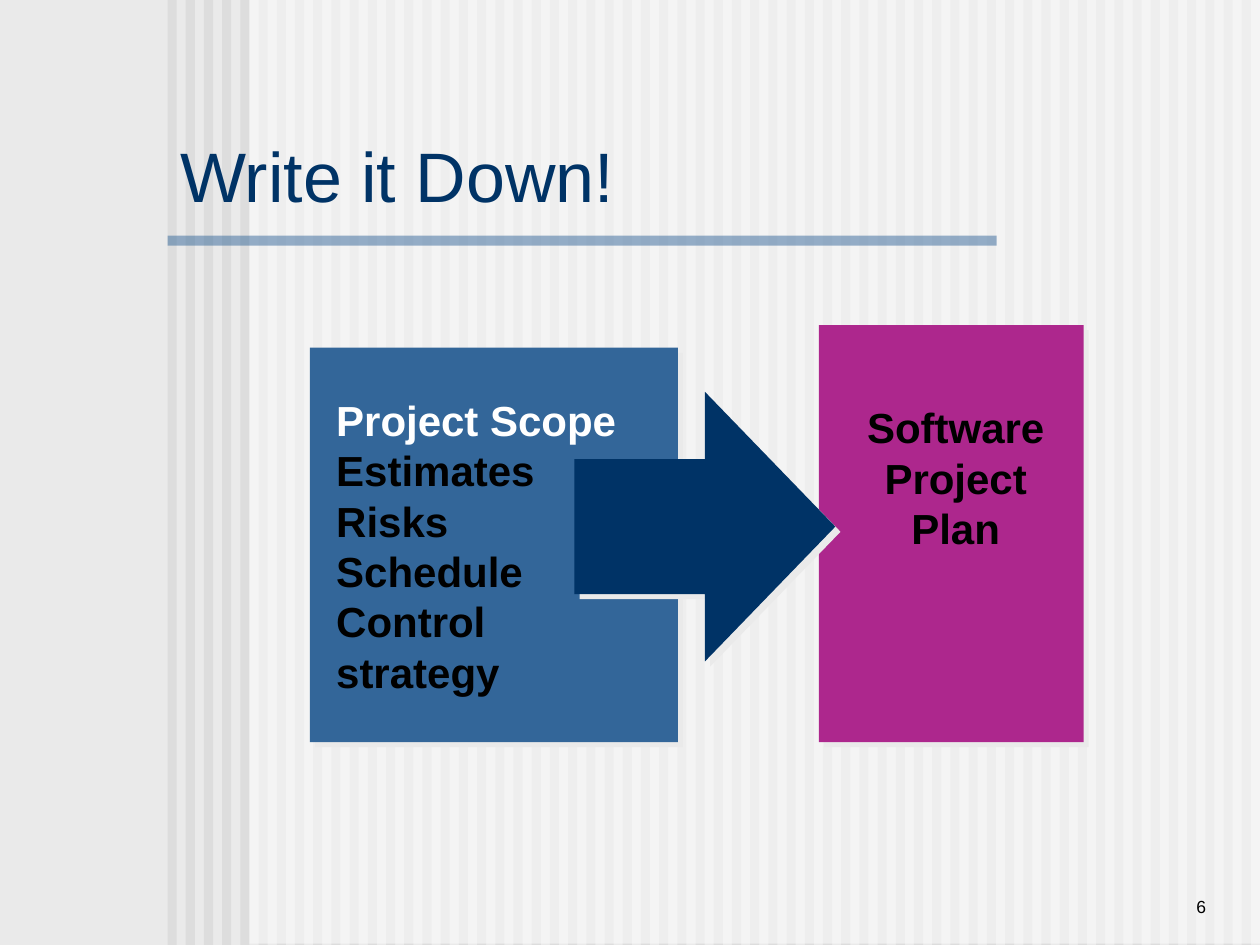
from dataclasses import dataclass

from lxml.etree import SubElement
from pptx import Presentation
from pptx.dml.color import RGBColor
from pptx.enum.shapes import MSO_SHAPE as Shape
from pptx.enum.text import MSO_ANCHOR as Anchor, PP_ALIGN as Align
from pptx.oxml.ns import qn
from pptx.util import Inches, Pt


@dataclass(frozen=True)
class Theme:
    """Colours, type sizes and font of the slide."""
    font: str = "Arial"
    background: str = "EAEAEA"
    stripe: str = "DDDDDD"
    white: str = "FFFFFF"
    black: str = "000000"
    navy: str = "003366"
    blue: str = "336699"
    magenta: str = "AD278D"
    title_size: int = 40
    body_size: int = 24
    number_size: int = 10
    body_leading: float = 28.8


THEME = Theme()


def add_filled(shapes, kind, box, color, opacity=None):
    """Add a borderless shape, optionally translucent."""
    shape = shapes.add_shape(kind, *map(Inches, box))
    shape.shadow.inherit = False
    shape.line.fill.background()
    shape.fill.solid()
    shape.fill.fore_color.rgb = RGBColor.from_string(color)
    if opacity is not None:
        rgb = shape._element.spPr.find(qn("a:solidFill")).find(qn("a:srgbClr"))
        SubElement(rgb, qn("a:alpha"), val=str(opacity * 1000))
    return shape


def add_shadowed(slide, kind, box, color):
    """Add a shape with a pale shadow to its lower right."""
    shape = add_filled(slide.shapes, kind, box, color)
    effects = shape._element.spPr.find(qn("a:effectLst"))
    shadow = SubElement(effects, qn("a:outerShdw"), dist=str(Pt(4.2)),
                        dir=str(45 * 60000), algn="ctr", rotWithShape="0")
    SubElement(shadow, qn("a:srgbClr"), val=THEME.background)
    return shape


def style(paragraph, size, color, bold=False, align=Align.LEFT):
    """Set the font and alignment of a paragraph."""
    paragraph.alignment = align
    paragraph.font.name = THEME.font
    paragraph.font.size = Pt(size)
    paragraph.font.bold = bold
    paragraph.font.color.rgb = RGBColor.from_string(color)


def add_backdrop(slide, box):
    """Place the stripes, veil and title rule behind the title."""
    left, top, width, height = box
    slide.background.fill.solid()
    slide.background.fill.fore_color.rgb = RGBColor.from_string(THEME.background)
    group = slide.shapes.add_group_shape()
    count = 60
    pitch = width / count
    for index in range(count):
        add_filled(group.shapes, Shape.RECTANGLE,
                   (left + index * pitch, top, pitch / 2, height), THEME.stripe)
    veil_left = left + 0.65
    add_filled(group.shapes, Shape.RECTANGLE,
               (veil_left, top - 0.01, left + width - veil_left, height), THEME.white, 50)
    add_filled(group.shapes, Shape.RECTANGLE, (left, 1.87, 6.58, 0.08), THEME.blue, 50)
    slide.shapes._spTree.insert(2, group._element)


def add_title(slide, box, text):
    """Place and format the title placeholder."""
    title = slide.shapes.title
    title.left, title.top, title.width, title.height = map(Inches, box)
    title.text_frame.text = text
    title.text_frame.vertical_anchor = Anchor.BOTTOM
    style(title.text_frame.paragraphs[0], THEME.title_size, THEME.navy)


def add_lines(slide, box, lines, align):
    """Place bold lines of text given as pairs of wording and colour."""
    frame = slide.shapes.add_textbox(*map(Inches, box)).text_frame
    frame.word_wrap = False
    frame.text = "\n".join(text for text, _ in lines)
    for paragraph, (_, color) in zip(frame.paragraphs, lines):
        style(paragraph, THEME.body_size, color, True, align)
        paragraph.line_spacing = Pt(THEME.body_leading)


def add_plan(slide, box):
    """Place the resulting project plan panel."""
    left, top, _, _ = box
    add_shadowed(slide, Shape.RECTANGLE, box, THEME.magenta)
    lines = [(text, THEME.black) for text in ("Software", "Project", "Plan")]
    add_lines(slide, (left + 0.28, top + 0.56, 1.61, 1.3), lines, Align.CENTER)


def add_inputs(slide, box):
    """Place the panel of inputs to the plan."""
    left, top, _, _ = box
    add_shadowed(slide, Shape.RECTANGLE, box, THEME.blue)
    lines = [("Project Scope", THEME.white)]
    lines += [(text, THEME.black)
              for text in ("Estimates", "Risks", "Schedule", "Control strategy")]
    add_lines(slide, (left + 0.11, top + 0.32, 2.77, 2.1), lines, Align.LEFT)


def add_page_number(slide, box, number):
    """Place the page number."""
    frame = slide.shapes.add_textbox(*map(Inches, box)).text_frame
    frame.word_wrap = True
    frame.vertical_anchor = Anchor.BOTTOM
    frame.text = number
    style(frame.paragraphs[0], THEME.number_size, THEME.black, align=Align.RIGHT)


def main():
    """Build and save the presentation."""
    presentation = Presentation()
    presentation.slide_width, presentation.slide_height = Inches(10), Inches(7.5)
    slide = presentation.slides.add_slide(presentation.slide_layouts[5])
    add_backdrop(slide, (1.33, 0, 8.67, 7.5))
    add_title(slide, (1.33, 1.08, 5.59, 0.69), "Write it Down!")
    add_plan(slide, (6.5, 2.58, 2.1, 3.31))
    add_inputs(slide, (2.46, 2.76, 2.92, 3.13))
    add_shadowed(slide, Shape.RIGHT_ARROW, (4.56, 3.11, 2.07, 2.14), THEME.navy)
    add_page_number(slide, (8.25, 6.83, 1.42, 0.5), "6")
    presentation.save("out.pptx")


if __name__ == "__main__":
    main()
